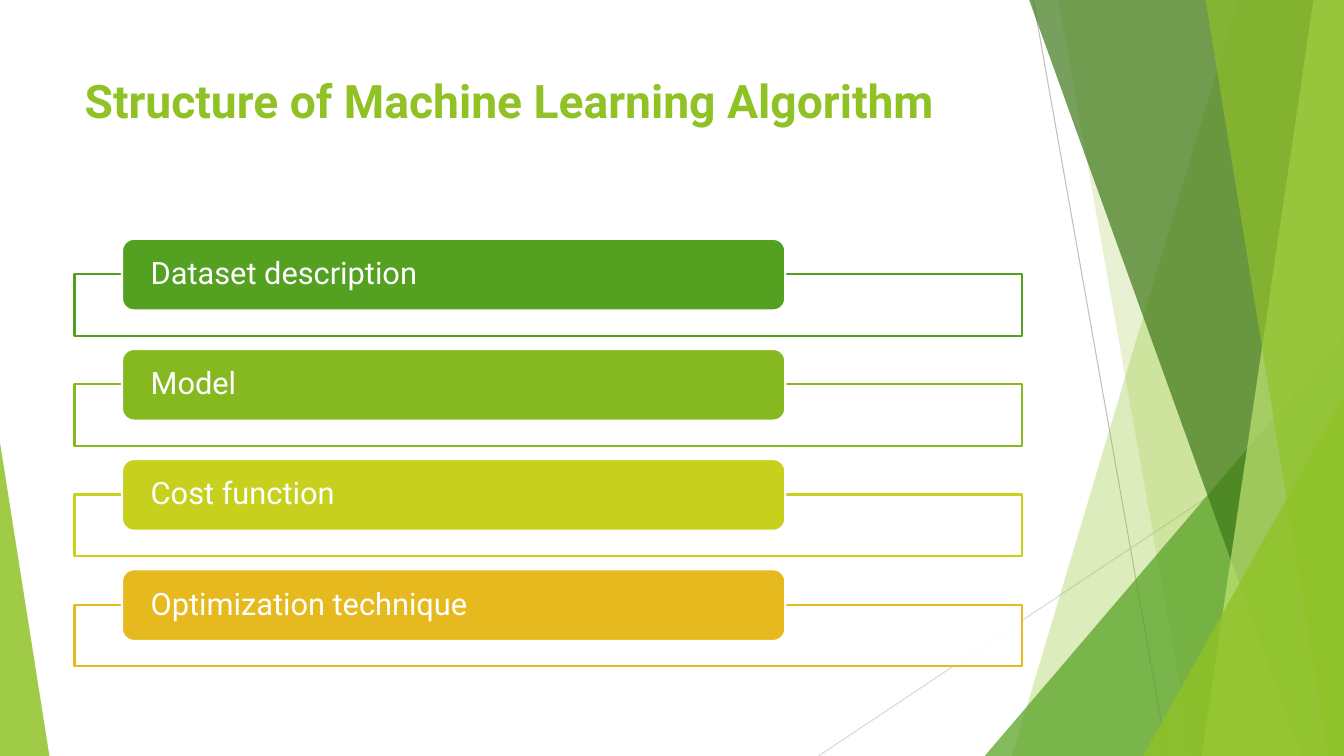
from pptx import Presentation
from pptx.dml.color import RGBColor
from pptx.enum.shapes import MSO_CONNECTOR, MSO_SHAPE
from pptx.enum.text import MSO_ANCHOR, MSO_AUTO_SIZE, PP_ALIGN
from pptx.oxml.ns import qn
from pptx.util import Inches, Pt
from lxml.etree import SubElement


def rgb(value):
    return RGBColor.from_string(value)


class Deck:
    font = "Roboto"
    green, dark, forest, lime, white = "90C226", "54A021", "3F7819", "C0E474", "FFFFFF"

    def __init__(self):
        self.prs = Presentation()
        self.prs.slide_width, self.prs.slide_height = Inches(13.33), Inches(7.5)
        self.s = self.prs.slides.add_slide(self.prs.slide_layouts[5])

    def x(self, share):
        return round(self.prs.slide_width * share / 100)

    def y(self, share):
        return round(self.prs.slide_height * share / 100)

    def box(self, left, top, width, height):
        return self.x(left), self.y(top), self.x(width), self.y(height)

    def paint(self, sp, fill, opacity=100, line=None):
        sp.shadow.inherit = False
        sp.fill.solid()
        sp.fill.fore_color.rgb = rgb(fill)
        if opacity < 100:
            color = next(sp._element.spPr.iter(qn("a:srgbClr")))
            SubElement(color, qn("a:alpha"), val=str(opacity * 1000))
        if line:
            sp.line.color.rgb = rgb(line)
            sp.line.width = Pt(1.5)
        else:
            sp.line.fill.background()

    def text(self, tf, text, size, color, bold=False):
        tf.word_wrap = True
        p = tf.paragraphs[0]
        p.alignment = PP_ALIGN.LEFT
        r = p.add_run()
        r.text = text
        r.font.name, r.font.size, r.font.bold = self.font, Pt(size), bold
        r.font.color.rgb = rgb(color)
        return p

    def title(self, text, *area):
        sp = self.s.shapes.title
        sp.left, sp.top, sp.width, sp.height = self.box(*area)
        tf = sp.text_frame
        tf.auto_size = MSO_AUTO_SIZE.NONE
        tf.vertical_anchor = MSO_ANCHOR.TOP
        self.text(tf, text, 33, self.green, True)

    def line(self, x1, y1, x2, y2, color):
        sp = self.s.shapes.add_connector(
            MSO_CONNECTOR.STRAIGHT, self.x(x1), self.y(y1), self.x(x2), self.y(y2))
        sp.line.color.rgb = rgb(color)
        sp.line.width = Pt(0.75)
        SubElement(sp._element.spPr, qn("a:effectLst"))

    def band(self, top_x, bottom_x, fill, opacity):
        builder = self.s.shapes.build_freeform(self.x(top_x), 0)
        corners = [(100, 0), (100, 100), (bottom_x, 100)]
        builder.add_line_segments([(self.x(x), self.y(y)) for x, y in corners])
        self.paint(builder.convert_to_shape(), fill, opacity)

    def triangle(self, left, top, width, apex, fill, opacity):
        sp = self.s.shapes.add_shape(
            MSO_SHAPE.ISOSCELES_TRIANGLE, *self.box(left, top, width, 100 - top))
        sp.adjustments[0] = apex
        self.paint(sp, fill, opacity)

    def frame(self, color, *area):
        sp = self.s.shapes.add_shape(MSO_SHAPE.RECTANGLE, *self.box(*area))
        self.paint(sp, self.white, 90, color)

    def label(self, text, color, *area):
        sp = self.s.shapes.add_shape(MSO_SHAPE.ROUNDED_RECTANGLE, *self.box(*area))
        self.paint(sp, color, line=self.white)
        tf = sp.text_frame
        tf.margin_left = tf.margin_right = Inches(0.25)
        tf.margin_top = tf.margin_bottom = 0
        tf.vertical_anchor = MSO_ANCHOR.MIDDLE
        self.text(tf, text, 22, self.white).line_spacing = 0.9


def main():
    d = Deck()
    d.line(76.88, 0, 86.85, 100, "BFBFBF")
    d.line(100, 53.73, 60.9, 100, "D9D9D9")
    d.band(92.1, 75.3, d.green, 30)
    d.band(78.75, 88.73, d.green, 20)
    d.triangle(73.27, 44.4, 26.73, 1, d.dark, 72)
    d.band(76.58, 96.83, d.forest, 70)
    d.band(97.73, 89.4, d.lime, 70)
    d.band(89.7, 98.85, d.green, 65)
    d.triangle(85.05, 52.4, 14.95, 1, d.green, 80)
    d.triangle(0, 58.53, 3.68, 0, d.green, 85)

    d.title("Structure of Machine Learning Algorithm", 5.55, 8.93, 70.5, 19.2)

    parts = [
        ("Dataset description", d.dark),
        ("Model", "86B820"),
        ("Cost function", "C7D01D"),
        ("Optimization technique", "E6B91E"),
    ]
    for row, (text, color) in enumerate(parts):
        offset = row * 14.57
        d.frame(color, 5.55, 36.27 + offset, 70.5, 8.13)
        d.label(text, color, 9.08, 31.6 + offset, 49.35, 9.47)

    d.prs.save("out.pptx")


if __name__ == "__main__":
    main()
